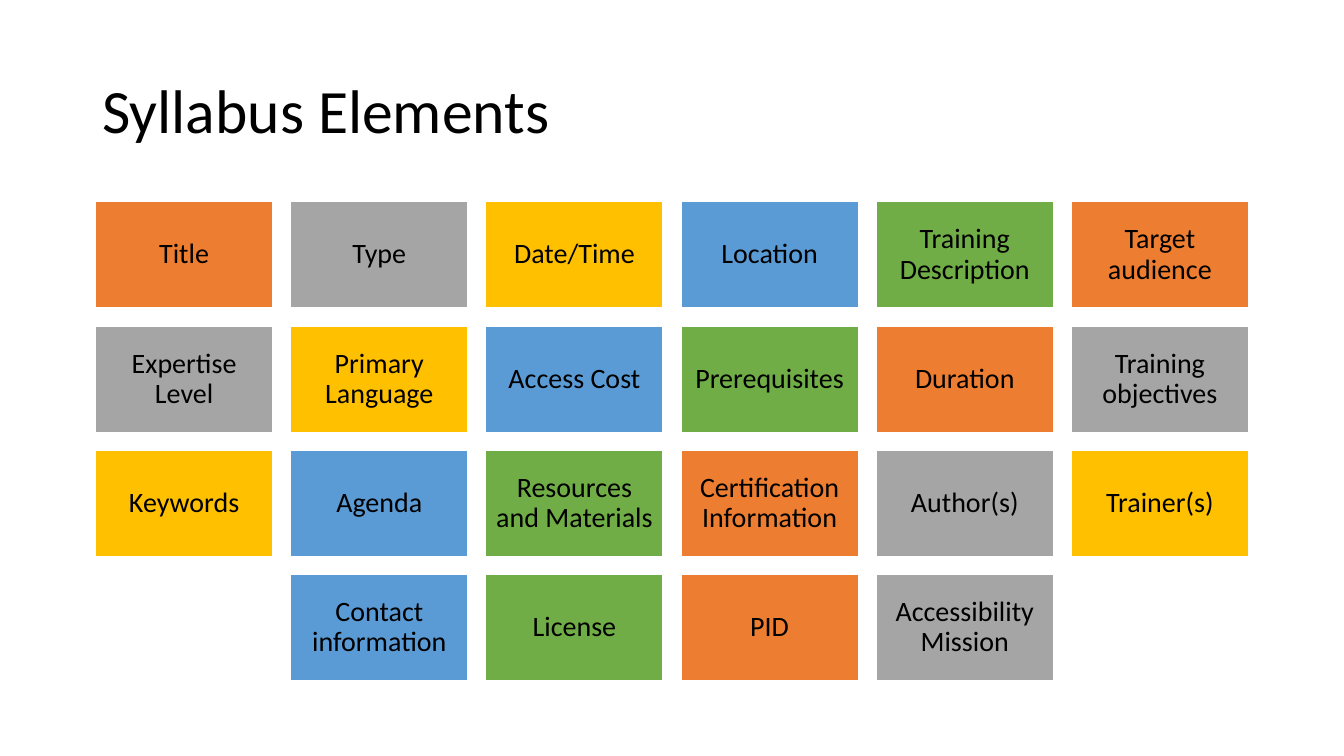
from itertools import cycle

from pptx import Presentation
from pptx.dml.color import RGBColor
from pptx.enum import shapes, text
from pptx.util import Pt

COLORS = {
    "orange": "ED7D31",
    "gray": "A5A5A5",
    "yellow": "FFC000",
    "blue": "5B9BD5",
    "green": "70AD47",
    "white": "FFFFFF",
    "black": "000000",
}
ROWS = [
    ["Title", "Type", "Date/Time", "Location", "Training Description", "Target audience"],
    ["Expertise Level", "Primary Language", "Access Cost", "Prerequisites", "Duration",
     "Training objectives"],
    ["Keywords", "Agenda", "Resources and Materials", "Certification Information",
     "Author(s)", "Trainer(s)"],
    ["Contact information", "License", "PID", "Accessibility Mission"],
]
COLUMNS = 6
LEFT, TOP = 68.2, 144
TILE_W, TILE_H = 126.7, 76
STEP_X, STEP_Y = 139.4, 88.8


def rgb(name):
    return RGBColor.from_string(COLORS[name])


def write(s, wording, size):
    """Put one black, vertically centred paragraph into a shape and return it."""
    tf = s.text_frame
    tf.word_wrap = True
    tf.vertical_anchor = text.MSO_ANCHOR.MIDDLE
    p = tf.paragraphs[0]
    p.text = wording
    p.line_spacing = 0.9
    font = p.runs[0].font
    font.name, font.size = "Calibri", Pt(size)
    font.color.rgb = rgb("black")
    return p


prs = Presentation()
prs.slide_width, prs.slide_height = Pt(960), Pt(540)
slide = prs.slides.add_slide(prs.slide_layouts[6])

title = slide.shapes.add_textbox(Pt(66), Pt(28.8), Pt(828), Pt(104.4))
write(title, "Syllabus Elements", 44)

fills = cycle(["orange", "gray", "yellow", "blue", "green"])
for row, labels in enumerate(ROWS):
    # A short row is centred under the full ones
    row_left = LEFT + (COLUMNS - len(labels)) / 2 * STEP_X
    for column, label in enumerate(labels):
        tile = slide.shapes.add_shape(
            shapes.MSO_SHAPE.RECTANGLE,
            Pt(row_left + column * STEP_X), Pt(TOP + row * STEP_Y), Pt(TILE_W), Pt(TILE_H))
        tile.shadow.inherit = False
        tile.fill.solid()
        tile.fill.fore_color.rgb = rgb(next(fills))
        tile.line.color.rgb = rgb("white")
        tile.line.width = Pt(1)
        tf = tile.text_frame
        tf.margin_left = tf.margin_right = tf.margin_top = tf.margin_bottom = Pt(6)
        write(tile, label, 20).alignment = text.PP_ALIGN.CENTER

prs.save("out.pptx")
